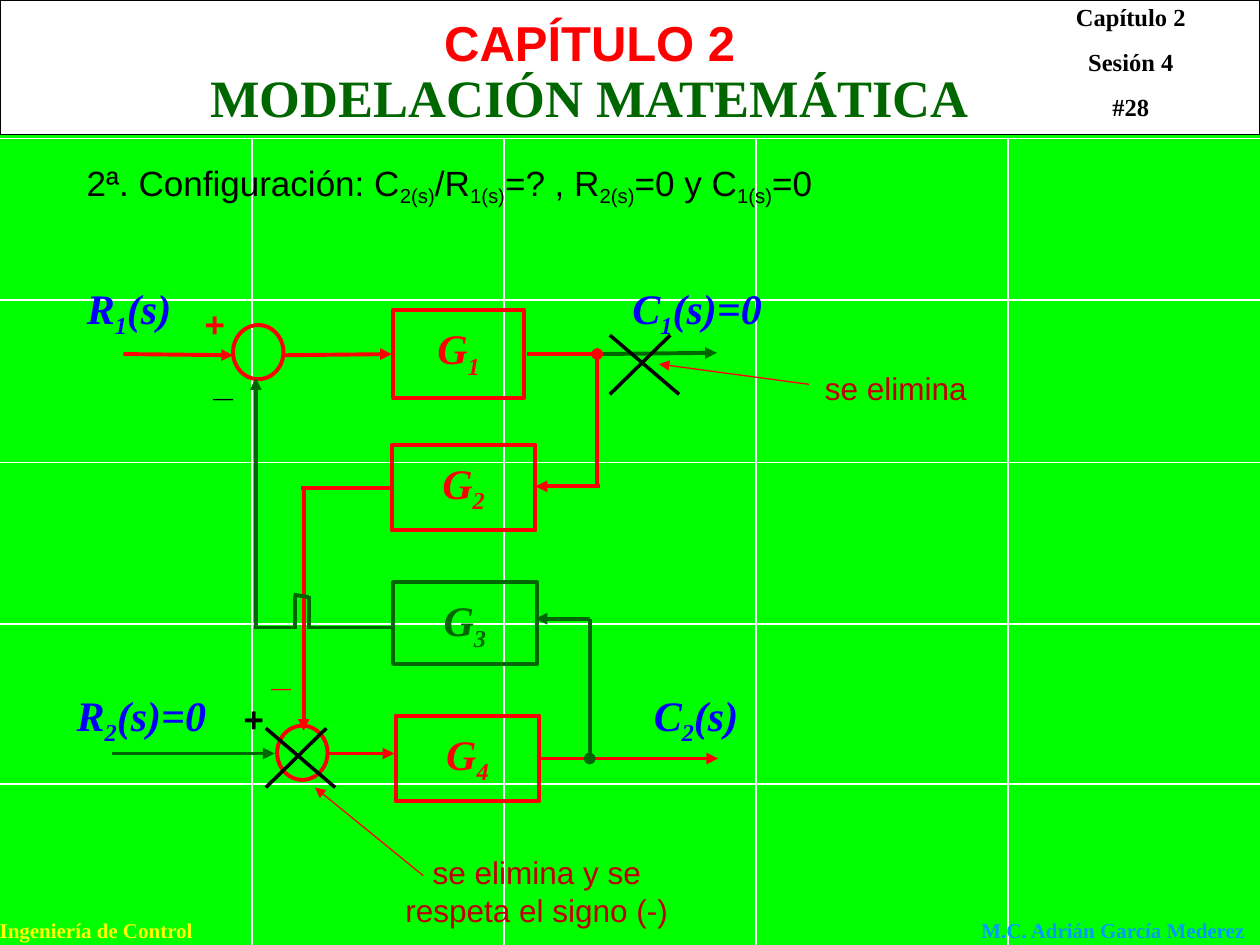
from lxml.etree import SubElement
from pptx import Presentation
from pptx.dml.color import RGBColor
from pptx.enum.shapes import MSO_CONNECTOR as CONN, MSO_SHAPE as SHAPE
from pptx.enum.text import MSO_ANCHOR as ANCHOR, PP_ALIGN as ALIGN
from pptx.oxml.ns import qn
from pptx.util import Inches, Pt

RED, GREEN = RGBColor(255, 0, 0), RGBColor(0, 0x66, 0)
BLACK, WHITE = RGBColor(0, 0, 0), RGBColor(255, 255, 255)
BLUE, SKY = RGBColor(0, 0, 255), RGBColor(0, 0x99, 255)
YELLOW, CRIMSON = RGBColor(255, 255, 0), RGBColor(0xC0, 0, 0)
LIME = RGBColor(0, 255, 0)
SERIF, SANS = "Times New Roman", "Arial"

# Text styles
TITLE = dict(name=SANS, size=Pt(28), bold=True)
SUBTITLE = dict(name=SERIF, size=Pt(30), bold=True)
CORNER = dict(name=SERIF, size=Pt(14), bold=True)
FOOTER = dict(name=SERIF, size=Pt(12), bold=True)
BODY = dict(name=SANS, size=Pt(20), bold=False)
NOTE = dict(name=SANS, size=Pt(18), bold=False)
SIGNAL = dict(name=SERIF, size=Pt(24), bold=True, italic=True)
SIGN = dict(name=SANS, size=Pt(20), bold=True, italic=True)

# Content: text between ~ marks is subscript
TITLE_TEXT = ("CAPÍTULO 2", (0.9, 0.05, 7.56, 0.57), TITLE, RED, ALIGN.CENTER)
TEXTS = [
    ("Ingeniería de Control", (-0.12, 7.23, 1.77, 0.3), FOOTER, YELLOW, ALIGN.CENTER),
    ("M.C. Adrián García Mederez", (7.69, 7.23, 2.3, 0.3), FOOTER, SKY, ALIGN.LEFT),
    ("Capítulo 2\nSesión 4\n#28", (8.15, -0.03, 1.65, 1.05), CORNER, BLACK, ALIGN.CENTER),
    ("MODELACIÓN MATEMÁTICA", (0.9, 0.47, 7.56, 0.6), SUBTITLE, GREEN, ALIGN.CENTER),
    ("2ª. Configuración: C~2(s)~/R~1(s)~=? , R~2(s)~=0 y C~1(s)~=0",
     (0.59, 1.23, 6.3, 0.48), BODY, BLACK, ALIGN.LEFT),
    ("R~1~(s)", (0.59, 2.19, 1.09, 0.6), SIGNAL, BLUE, ALIGN.LEFT),
    ("C~1~(s)=0", (4.92, 2.19, 1.49, 0.55), SIGNAL, BLUE, ALIGN.LEFT),
    ("R~2~(s)=0", (0.51, 5.42, 1.28, 0.44), SIGNAL, BLUE, ALIGN.LEFT),
    ("C~2~(s)", (5.09, 5.42, 1.41, 0.55), SIGNAL, BLUE, ALIGN.LEFT),
    ("+", (1.52, 2.35, 0.49, 0.53), SIGN, RED, ALIGN.LEFT),
    ("_", (1.61, 2.82, 0.49, 0.53), SIGN, BLACK, ALIGN.LEFT),
    ("+", (1.83, 5.49, 0.49, 0.53), SIGN, BLACK, ALIGN.LEFT),
    ("_", (2.07, 5.12, 0.49, 0.53), SIGN, RED, ALIGN.LEFT),
    ("se elimina", (6.25, 2.88, 1.72, 0.4), NOTE, CRIMSON, ALIGN.CENTER),
    ("se elimina y se respeta el signo (-)", (3.05, 6.72, 2.42, 0.7),
     NOTE, CRIMSON, ALIGN.CENTER),
]
BLOCKS = [
    ("G~1~", (3.12, 2.46, 1.04, 0.7), RED),
    ("G~2~", (3.11, 3.53, 1.14, 0.68), RED),
    ("G~3~", (3.12, 4.62, 1.14, 0.65), GREEN),
    ("G~4~", (3.14, 5.68, 1.14, 0.68), RED),
]
SUMMING_POINTS = [(1.85, 2.58), (2.2, 5.76)]
# Signal paths: start, end, colour, end mark
PATHS = [
    (0.98, 2.81, 1.85, 2.82, RED, "triangle"),
    (2.24, 2.82, 3.11, 2.81, RED, "triangle"),
    (4.76, 2.81, 5.69, 2.8, GREEN, "triangle"),
    (4.18, 2.81, 4.73, 2.81, RED, None),
    (4.74, 3.86, 4.74, 2.81, RED, "oval"),
    (4.76, 3.86, 4.25, 3.86, RED, "triangle"),
    (3.11, 3.87, 2.39, 3.87, RED, None),
    (2.41, 3.88, 2.41, 5.8, RED, "triangle"),
    (0.89, 5.98, 2.18, 5.98, GREEN, "triangle"),
    (2.59, 5.98, 3.13, 5.98, RED, "triangle"),
    (4.26, 6.02, 5.7, 6.02, RED, "triangle"),
    (4.68, 4.91, 4.68, 6.02, GREEN, "oval"),
    (4.68, 4.91, 4.25, 4.91, GREEN, "triangle"),
    (3.12, 4.98, 2.46, 4.98, GREEN, None),
    (2.45, 4.99, 2.45, 4.73, GREEN, None),
    (2.45, 4.74, 2.33, 4.72, GREEN, None),
    (2.34, 4.73, 2.34, 4.99, GREEN, None),
    (2.34, 4.98, 2.02, 4.98, GREEN, None),
    (2.03, 4.99, 2.03, 3.0, GREEN, "triangle"),
]
CROSSES = [(4.84, 2.66), (2.11, 5.78)]
POINTERS = [(6.42, 3.05, 5.23, 2.89), (3.36, 6.95, 2.5, 6.25)]


def write(shape, text, style, color, align, top=0.05):
    tf = shape.text_frame
    tf.word_wrap = True
    tf.vertical_anchor = ANCHOR.TOP
    tf.margin_left = tf.margin_right = Inches(0.1)
    tf.margin_top, tf.margin_bottom = Inches(top), Inches(0.05)
    for i, row in enumerate(text.split("\n")):
        p = tf.add_paragraph() if i else tf.paragraphs[0]
        p.alignment = align
        p.space_before = Pt(8.8 if i else 0)
        for j, part in enumerate(row.split("~")):
            if not part:
                continue
            r = p.add_run()
            r.text = part
            for key, value in style.items():
                setattr(r.font, key, value)
            r.font.color.rgb = color
            if j % 2:
                r.font._element.set("baseline", "-20000" if style is BODY else "-25000")


def add_outline(s, kind, box, color, width, fill=None):
    sp = s.shapes.add_shape(kind, *map(Inches, box))
    sp.shadow.inherit = False
    if fill is None:
        sp.fill.background()
    else:
        sp.fill.solid()
        sp.fill.fore_color.rgb = fill
    sp.line.color.rgb = color
    sp.line.width = Pt(width)
    return sp


def add_line(s, x1, y1, x2, y2, color, width, mark=None):
    c = s.shapes.add_connector(CONN.STRAIGHT, *map(Inches, (x1, y1, x2, y2)))
    c.line.color.rgb = color
    c.line.width = Pt(width)
    if mark:
        SubElement(c.line._get_or_add_ln(), qn("a:tailEnd"), type=mark)
    SubElement(c._element.spPr, qn("a:effectLst"))


def main():
    prs = Presentation()
    prs.slide_width, prs.slide_height = Inches(10), Inches(7.5)
    s = prs.slides.add_slide(prs.slide_layouts[5])
    s.background.fill.solid()
    s.background.fill.fore_color.rgb = LIME

    # Background grid and header band
    for x in range(2, 10, 2):
        add_line(s, x, 1.1, x, 7.5, WHITE, 1)
    for y in (1.1, 2.38, 3.67, 4.95, 6.22):
        add_line(s, 0, y, 10, y, WHITE, 1)
    add_outline(s, SHAPE.RECTANGLE, (0, 0, 10, 1.07), BLACK, 0.75, WHITE)

    # Title, brought in front of the band
    title = s.shapes.title
    text, box, *look = TITLE_TEXT
    title.left, title.top, title.width, title.height = map(Inches, box)
    write(title, text, *look)
    title._element.getparent().append(title._element)

    # Block diagram
    for text, box, color in BLOCKS:
        sp = add_outline(s, SHAPE.RECTANGLE, box, color, 2.25)
        write(sp, text, SIGNAL, color, ALIGN.CENTER, top=0.1)
    for x, y in SUMMING_POINTS:
        add_outline(s, SHAPE.OVAL, (x, y, 0.4, 0.43), RED, 2.25)
    for *ends, color, mark in PATHS:
        add_line(s, *ends, color, 2.25, mark)

    # Crossed-out signals and pointers to the notes
    for x, y in CROSSES:
        add_line(s, x, y, x + 0.55, y + 0.47, BLACK, 2)
        add_line(s, x + 0.48, y, x, y + 0.47, BLACK, 2)
    for ends in POINTERS:
        add_line(s, *ends, RED, 0.75, "triangle")

    # Labels
    for text, box, *look in TEXTS:
        write(s.shapes.add_textbox(*map(Inches, box)), text, *look)

    prs.save("out.pptx")


if __name__ == "__main__":
    main()
